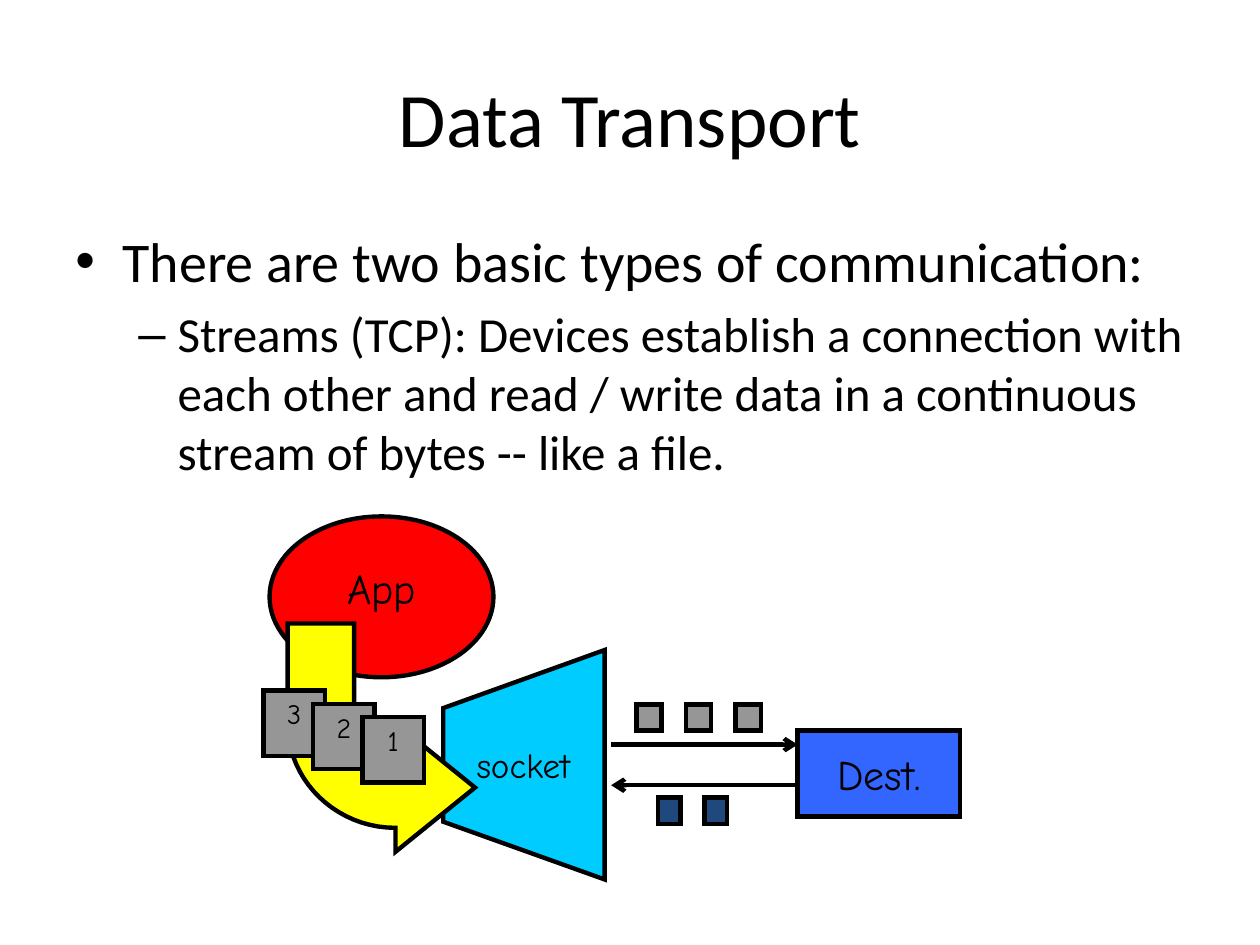
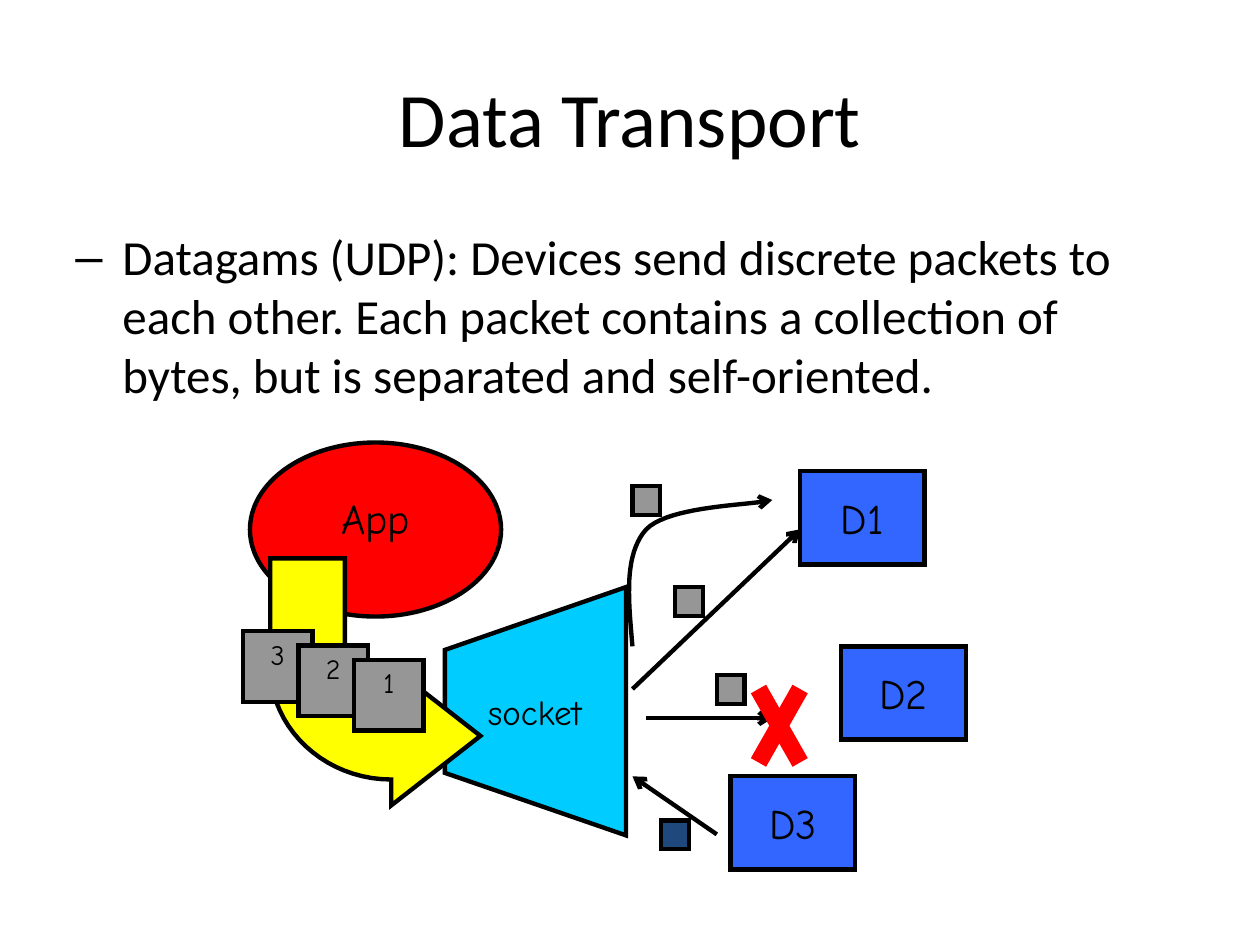
import pptx
import pptx.util
import pptx.dml.color
import pptx.enum.shapes
import pptx.enum.text
import pptx.oxml.ns
import lxml.etree

Cm = pptx.util.Cm
Pt = pptx.util.Pt
RGB = pptx.dml.color.RGBColor
KIND = pptx.enum.shapes.MSO_SHAPE
ANCHOR = pptx.enum.text.MSO_ANCHOR
ALIGN = pptx.enum.text.PP_ALIGN
qn = pptx.oxml.ns.qn

BLACK = RGB(0x00, 0x00, 0x00)
RED = RGB(0xFF, 0x00, 0x00)
CYAN = RGB(0x00, 0xCC, 0xFF)
YELLOW = RGB(0xFF, 0xFF, 0x00)
GREY = RGB(0x96, 0x96, 0x96)
BLUE = RGB(0x33, 0x66, 0xFF)
NAVY = RGB(0x1F, 0x49, 0x7D)
BODY = "Calibri"
HAND = "Comic Neue"


def write(par, text, size, face, align=ALIGN.CENTER):
    """Fill one paragraph with black text."""
    par.text = text
    par.alignment = align
    par.font.size = Pt(size)
    par.font.name = face
    par.font.color.rgb = BLACK


def label(slide, text, size, face, x, y, w, h, anchor):
    """Add a wrapped, centred text box."""
    frame = slide.shapes.add_textbox(Cm(x), Cm(y), Cm(w), Cm(h)).text_frame
    frame.word_wrap = True
    frame.vertical_anchor = anchor
    write(frame.paragraphs[0], text, size, face)


def edge(shape, color=BLACK, width=2.5, arrow=False):
    """Set a mitred outline, with an optional arrowhead at its end."""
    shape.line.color.rgb = color
    shape.line.width = Pt(width)
    line = shape.element.spPr.find(qn("a:ln"))
    lxml.etree.SubElement(line, qn("a:miter"), lim="800000")
    if arrow:
        lxml.etree.SubElement(line, qn("a:tailEnd"), type="arrow")


def block(slide, kind, x, y, w, h, fill, text="", size=24, anchor=ANCHOR.MIDDLE):
    """Add an outlined, filled preset shape with optional text."""
    shape = slide.shapes.add_shape(kind, Cm(x), Cm(y), Cm(w), Cm(h))
    shape.shadow.inherit = False
    shape.fill.solid()
    shape.fill.fore_color.rgb = fill
    edge(shape)
    if text:
        shape.text_frame.word_wrap = True
        shape.text_frame.vertical_anchor = anchor
        write(shape.text_frame.paragraphs[0], text, size, HAND)


def link(slide, x1, y1, x2, y2, color=BLACK, width=2.5, arrow=True):
    """Add a straight line, by default an arrow."""
    line = slide.shapes.add_connector(
        pptx.enum.shapes.MSO_CONNECTOR.STRAIGHT, Cm(x1), Cm(y1), Cm(x2), Cm(y2))
    edge(line, color, width, arrow)
    lxml.etree.SubElement(line.element.spPr, qn("a:effectLst"))


def curve(*ends, steps=20):
    """Return points along a cubic curve through four control points."""
    def mix(t, a, b, c, d):
        u = 1 - t
        return u**3 * a + 3 * u * u * t * b + 3 * u * t * t * c + t**3 * d
    return [tuple(mix(i / steps, *axis) for axis in zip(*ends))
            for i in range(steps + 1)]


def draw(slide, points, fill=None):
    """Add a closed filled outline, or an open arrow when there is no fill."""
    spots = [(Cm(x), Cm(y)) for x, y in points]
    pen = slide.shapes.build_freeform(*spots[0])
    pen.add_line_segments(spots[1:], close=fill is not None)
    shape = pen.convert_to_shape()
    shape.shadow.inherit = False
    if fill is None:
        shape.fill.background()
    else:
        shape.fill.solid()
        shape.fill.fore_color.rgb = fill
    edge(shape, arrow=fill is None)


def heading(slide, x, y, w, h):
    """Place the shared title."""
    label(slide, "Data Transport", 44, BODY, x, y, w, h, ANCHOR.MIDDLE)


def points(slide, items, x, y, w, h):
    """Place bulleted text from (mark, text, size, indent, hang) rows."""
    frame = slide.shapes.add_textbox(Cm(x), Cm(y), Cm(w), Cm(h)).text_frame
    frame.word_wrap = True
    for i, (mark, text, size, indent, hang) in enumerate(items):
        par = frame.add_paragraph() if i else frame.paragraphs[0]
        write(par, text, size, BODY, ALIGN.LEFT)
        par.space_before = Pt(size * 0.2 if i else 0)
        props = par._p.get_or_add_pPr()
        props.set("marL", str(Cm(indent)))
        props.set("indent", str(-Cm(hang)))
        lxml.etree.SubElement(props, qn("a:buFont"), typeface="Arial")
        lxml.etree.SubElement(props, qn("a:buChar"), char=mark)


def sender(slide, x, y, w, h):
    """Place the app, its packets and the socket, in percent of the box."""
    def spot(px, py):
        return x + w * px / 100, y + h * py / 100

    def area(px, py, pw, ph):
        return *spot(px, py), w * pw / 100, h * ph / 100

    block(slide, KIND.OVAL, *area(1.8, 0, 65.6, 44.3), RED)
    label(slide, "App", 24, HAND, *area(0, 11.1, 69.3, 22.2), ANCHOR.TOP)
    funnel = [(100, 0 + 36.8), (52.7, 52.8), (52.7, 84.1), (100, 100)]
    draw(slide, [spot(*p) for p in funnel], CYAN)
    label(slide, "socket", 20, HAND, *area(36.2, 58.8, 80, 19.3), ANCHOR.MIDDLE)
    bend = [(62, 74.7), (38.7, 92.4),
            *curve((38.7, 85.8), (21.4, 85.8), (7.1, 72.9), (7.1, 57)),
            (7.1, 29.5), (26.6, 29.5),
            *curve((26.6, 57), (26.6, 60.8), (32.1, 63.5), (38.7, 63.5)),
            (38.7, 57)]
    draw(slide, [spot(*p) for p in bend], YELLOW)
    for i, text in enumerate("321"):
        block(slide, KIND.RECTANGLE, *area(14.5 * i, 48 + 3.65 * i, 18.1, 18),
              GREY, text, 16, ANCHOR.TOP)


def stream(slide, x, y, w, h):
    """Place one host joined by a two-way flow of packets."""
    reach = w - 3.28
    for i in range(3):
        block(slide, KIND.RECTANGLE, x + 0.51 + i, y, 0.51, 0.53, GREY)
    link(slide, x, y + 0.81, x + reach, y + 0.81)
    block(slide, KIND.RECTANGLE, x + reach, y + 0.53, 3.28, 1.73, BLUE, "Dest.")
    link(slide, x + reach, y + 1.63, x, y + 1.63)
    for i in range(2):
        block(slide, KIND.RECTANGLE, x + 0.94 * (i + 1), y + h - 0.53,
              0.46, 0.53, NAVY)


def scatter(slide, x, y):
    """Place three hosts with separate packets, one of them lost."""
    for dx, dy, fill in [(0.18, 0.3, GREY), (1.04, 2.34, GREY),
                         (1.88, 4.11, GREY), (0.76, 7.04, NAVY)]:
        block(slide, KIND.RECTANGLE, x + dx, y + dy, 0.56, 0.58, fill)
    for text, dx, dy in [("D1", 3.56, 0), ("D3", 2.16, 6.15), ("D2", 4.39, 3.53)]:
        block(slide, KIND.RECTANGLE, x + dx, y + dy, 2.51, 1.88, BLUE, text)
    arc = (curve((0.18, 3.53), (0.1, 2.59), (0, 1.68), (0.46, 1.17))
           + curve((0.46, 1.17), (0.94, 0.69), (2.57, 0.69), (3, 0.58))[1:])
    draw(slide, [(x + dx, y + dy) for dx, dy in arc])
    for x1, y1, x2, y2 in [(0.18, 4.39, 3.56, 1.17), (0.46, 4.98, 3, 4.98),
                           (1.88, 7.32, 0.18, 6.15)]:
        link(slide, x + x1, y + y1, x + x2, y + y2)
    for x1, x2 in [(2.72, 3.56), (3.56, 2.72)]:
        link(slide, x + x1, y + 4.39, x + x2, y + 5.87, RED, 10, False)


def page(deck, items):
    """Add a slide with the shared title and its text."""
    slide = deck.slides.add_slide(deck.slide_layouts[6])
    heading(slide, 1.27, 0.76, 22.86, 3.18)
    points(slide, items, 1.27, 4.45, 22.86, 12.57)
    return slide


def main():
    """Build both slides and save them."""
    deck = pptx.Presentation()
    deck.slide_width, deck.slide_height = Cm(25.4), Cm(19.05)
    tcp = page(deck, [
        ("•", "There are two basic types of communication:", 32, 0.95, 0.95),
        ("–", "Streams (TCP): Devices establish a connection with each other "
         "and read / write data in a continuous stream of bytes -- like a file.",
         28, 2.06, 0.79)])
    sender(tcp, 5.31, 10.41, 6.88, 7.32)
    stream(tcp, 12.32, 14.2, 7.04, 2.41)
    udp = page(deck, [
        ("–", "Datagams (UDP): Devices send discrete packets to each other. "
         "Each packet contains a collection of bytes, but is separated and "
         "self-oriented.", 28, 0.95, 0.95)])
    sender(udp, 4.9, 8.92, 7.72, 7.92)
    scatter(udp, 12.57, 9.5)
    deck.save("out.pptx")


main()
